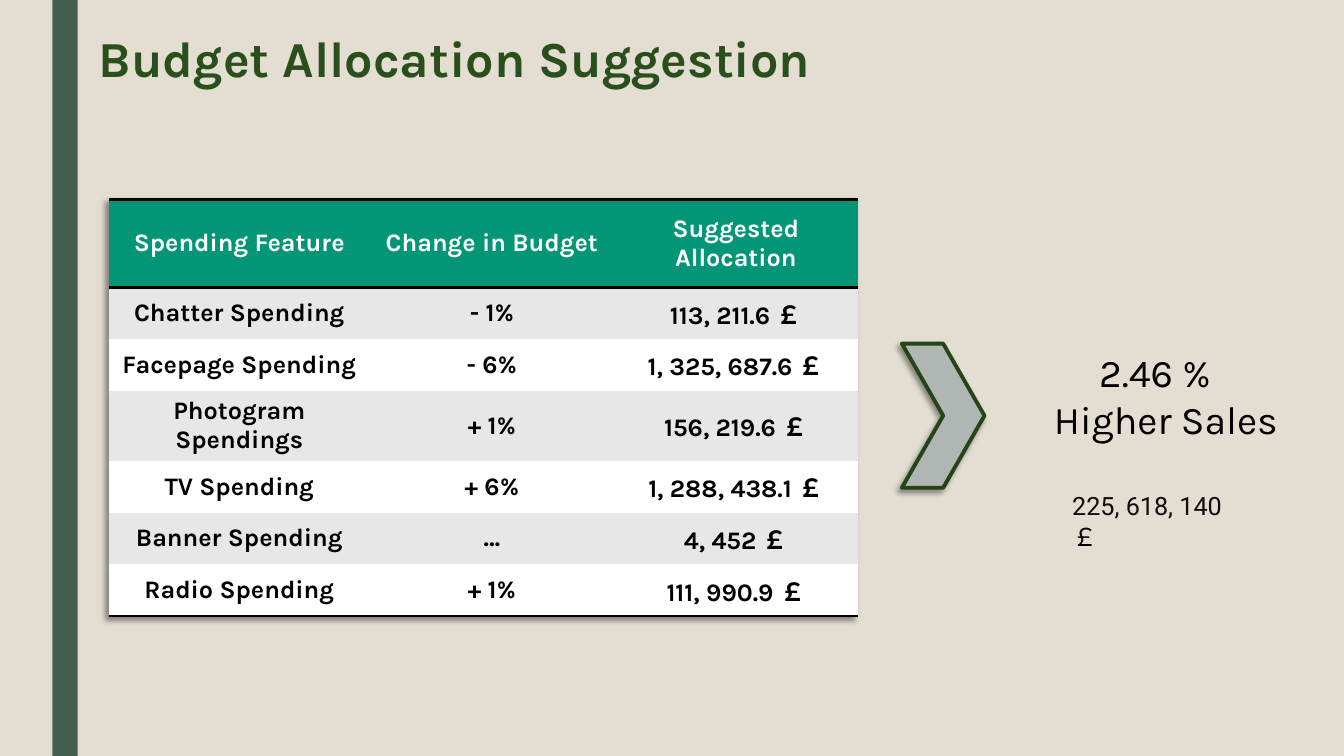
from dataclasses import dataclass

from lxml.etree import SubElement
from pptx import Presentation
from pptx.dml.color import RGBColor
from pptx.enum.shapes import MSO_SHAPE
from pptx.enum.text import MSO_ANCHOR, MSO_AUTO_SIZE, PP_ALIGN
from pptx.oxml import parse_xml
from pptx.oxml.ns import nsdecls, qn
from pptx.util import Cm, Pt


@dataclass(frozen=True)
class Theme:
    background: str = "E3DED1"
    bar: str = "455F51"
    title: str = "2A4F1C"
    header: str = "029676"
    band: str = "E7E7E7"
    white: str = "FFFFFF"
    black: str = "000000"
    amount: str = "0D0D0D"
    chevron: str = "B0B6B3"
    chevron_line: str = "254519"
    font: str = "Karla"
    amount_font: str = "Roboto"
    title_size: int = 36
    callout_size: int = 28
    body_size: int = 18


THEME = Theme()
NO_GRID_STYLE = "{2D5ABB26-0587-4C30-8999-92F81FD0307C}"
HEADINGS = ("Spending Feature", "Change in Budget", "Suggested Allocation")
SPENDINGS = (
    ("Chatter Spending", "- 1%", "113, 211.6 ￡"),
    ("Facepage Spending", "- 6%", "1, 325, 687.6 ￡"),
    ("Photogram Spendings", "+ 1%", "156, 219.6 ￡"),
    ("TV Spending", "+ 6%", "1, 288, 438.1 ￡"),
    ("Banner Spending", "…", "4, 452 ￡"),
    ("Radio Spending", "+ 1%", "111, 990.9 ￡"),
)


def rgb(colour):
    return RGBColor.from_string(colour)


def style_font(font, size, colour, name=THEME.font, bold=False):
    font.size = Pt(size)
    font.name = name
    font.bold = bold
    font.color.rgb = rgb(colour)


def outer_shadow():
    return parse_xml(
        f'<a:outerShdw {nsdecls("a")} blurRad="{Pt(4)}" dist="{Pt(3)}" dir="8100000" '
        f'algn="tr" rotWithShape="0"><a:srgbClr val="{THEME.black}">'
        '<a:alpha val="40000"/></a:srgbClr></a:outerShdw>'
    )


def add_text_frame(slide, box):
    frame = slide.shapes.add_textbox(*box).text_frame
    frame.word_wrap = True
    return frame


def add_side_bar(slide, box):
    bar = slide.shapes.add_shape(MSO_SHAPE.RECTANGLE, *box)
    bar.shadow.inherit = False
    bar.fill.solid()
    bar.fill.fore_color.rgb = rgb(THEME.bar)
    bar.line.fill.background()


def add_title(slide, box):
    heading = add_text_frame(slide, box).paragraphs[0]
    heading.text = "Budget Allocation Suggestion"
    heading.line_spacing = 0.89
    style_font(heading.font, THEME.title_size, THEME.title, bold=True)


def add_rule(cell, side):
    """Draw a black rule on one side of a cell: "T" or "B"."""
    rule = SubElement(cell._tc.get_or_add_tcPr(), qn(f"a:ln{side}"), w=str(Pt(2)))
    fill = SubElement(rule, qn("a:solidFill"))
    SubElement(fill, qn("a:srgbClr"), val=THEME.black)


def fill_cell(cell, text, background, colour, rules):
    for side in rules:
        add_rule(cell, side)
    cell.fill.solid()
    cell.fill.fore_color.rgb = rgb(background)
    cell.vertical_anchor = MSO_ANCHOR.MIDDLE
    entry = cell.text_frame.paragraphs[0]
    entry.text = text
    entry.alignment = PP_ALIGN.CENTER
    style_font(entry.font, THEME.body_size, colour, bold=True)


def add_budget_table(slide, box):
    rows = (HEADINGS, *SPENDINGS)
    budget = slide.shapes.add_table(len(rows), len(HEADINGS), *box).table
    budget.first_row = True
    budget.horz_banding = False
    properties = budget._tbl.tblPr
    properties.find(qn("a:tableStyleId")).text = NO_GRID_STYLE
    effects = parse_xml(f'<a:effectLst {nsdecls("a")}/>')
    effects.append(outer_shadow())
    properties.insert(0, effects)

    for column, width in zip(budget.columns, (6.58, 6.15, 6.15)):
        column.width = Cm(width)
    for index, row in enumerate(rows):
        is_header = index == 0
        budget.rows[index].height = Cm(2.21 if is_header else 1.3)
        if is_header:
            background, colour, rules = THEME.header, THEME.white, "TB"
        else:
            background = THEME.band if index % 2 else THEME.white
            colour = THEME.black
            rules = "B" if index == len(rows) - 1 else ""
        for cell, text in zip(budget.rows[index].cells, row):
            fill_cell(cell, text, background, colour, rules)


def add_chevron(slide, box):
    chevron = slide.shapes.add_shape(MSO_SHAPE.CHEVRON, *box)
    chevron.shadow.inherit = False
    chevron.fill.solid()
    chevron.fill.fore_color.rgb = rgb(THEME.chevron)
    chevron.line.color.rgb = rgb(THEME.chevron_line)
    chevron.line.width = Pt(2.75)
    chevron._element.spPr.find(qn("a:effectLst")).append(outer_shadow())


def add_sales_result(slide, box):
    """Place the sales gain at the top of the box and the amount below it."""
    left, top, width, height = box
    gain_frame = add_text_frame(slide, (left, top, width, Cm(2.64)))
    gain_frame.auto_size = MSO_AUTO_SIZE.SHAPE_TO_FIT_TEXT
    gain = gain_frame.paragraphs[0]
    gain.text = "2.46 % Higher Sales"
    gain._p.get_or_add_pPr().set("indent", str(Cm(1.14)))
    style_font(gain.font, THEME.callout_size, THEME.black)

    amount_height = Cm(1.02)
    amount_frame = add_text_frame(
        slide, (left + Cm(0.46), top + height - amount_height, Cm(4.8), amount_height)
    )
    amount_frame.auto_size = MSO_AUTO_SIZE.SHAPE_TO_FIT_TEXT
    amount = amount_frame.paragraphs[0]
    for text, colour, name in (
        ("225, 618, 140 ", THEME.amount, THEME.amount_font),
        ("￡", THEME.black, THEME.font),
    ):
        run = amount.add_run()
        run.text = text
        style_font(run.font, THEME.body_size, colour, name)


def main():
    deck = Presentation()
    deck.slide_width, deck.slide_height = Cm(33.87), Cm(19.05)
    slide = deck.slides.add_slide(deck.slide_layouts[6])
    slide.background.fill.solid()
    slide.background.fill.fore_color.rgb = rgb(THEME.background)

    add_side_bar(slide, (Cm(1.32), 0, Cm(0.64), deck.slide_height))
    add_title(slide, (Cm(2.24), Cm(0.74), Cm(26.67), Cm(1.85)))
    add_budget_table(slide, (Cm(2.74), Cm(5.03), Cm(18.88), Cm(10.01)))
    add_chevron(slide, (Cm(22.73), Cm(8.66), Cm(2.08), Cm(3.63)))
    add_sales_result(slide, (Cm(26.31), Cm(8.66), Cm(6.15), Cm(4.6)))
    deck.save("out.pptx")


if __name__ == "__main__":
    main()
